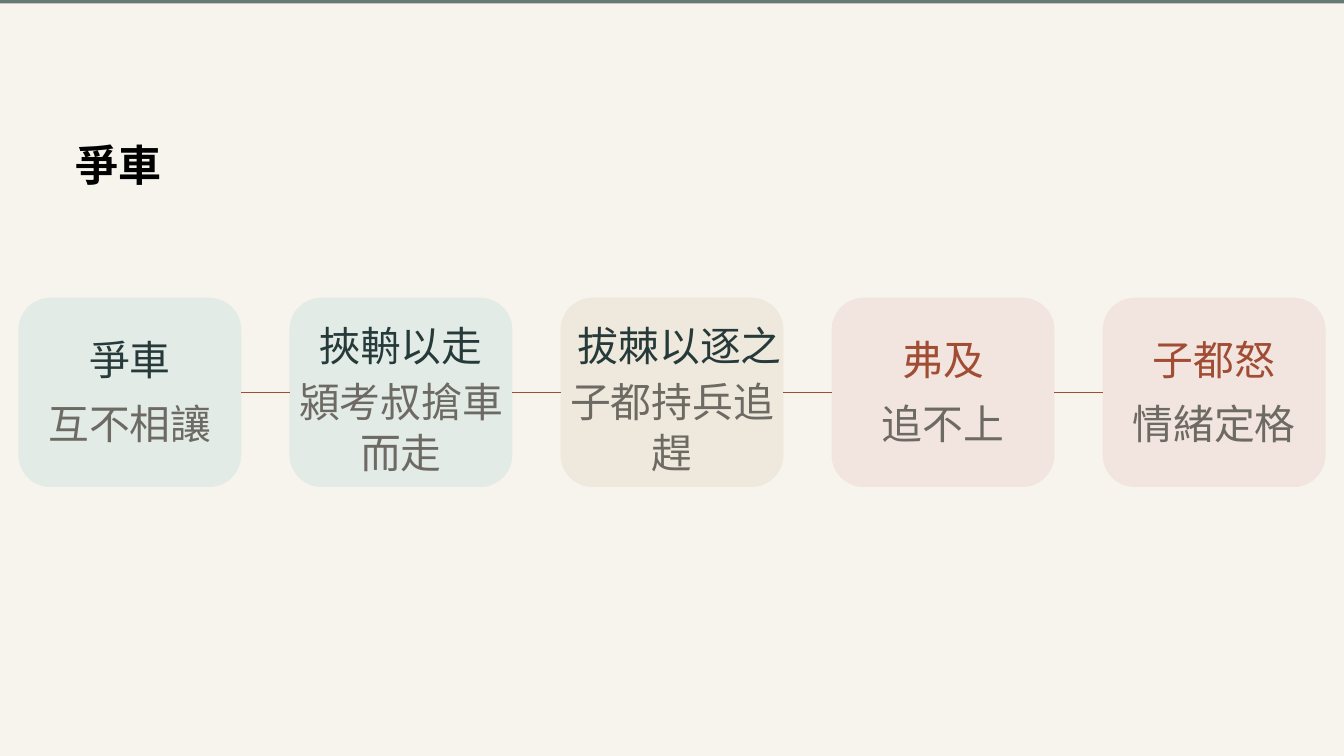
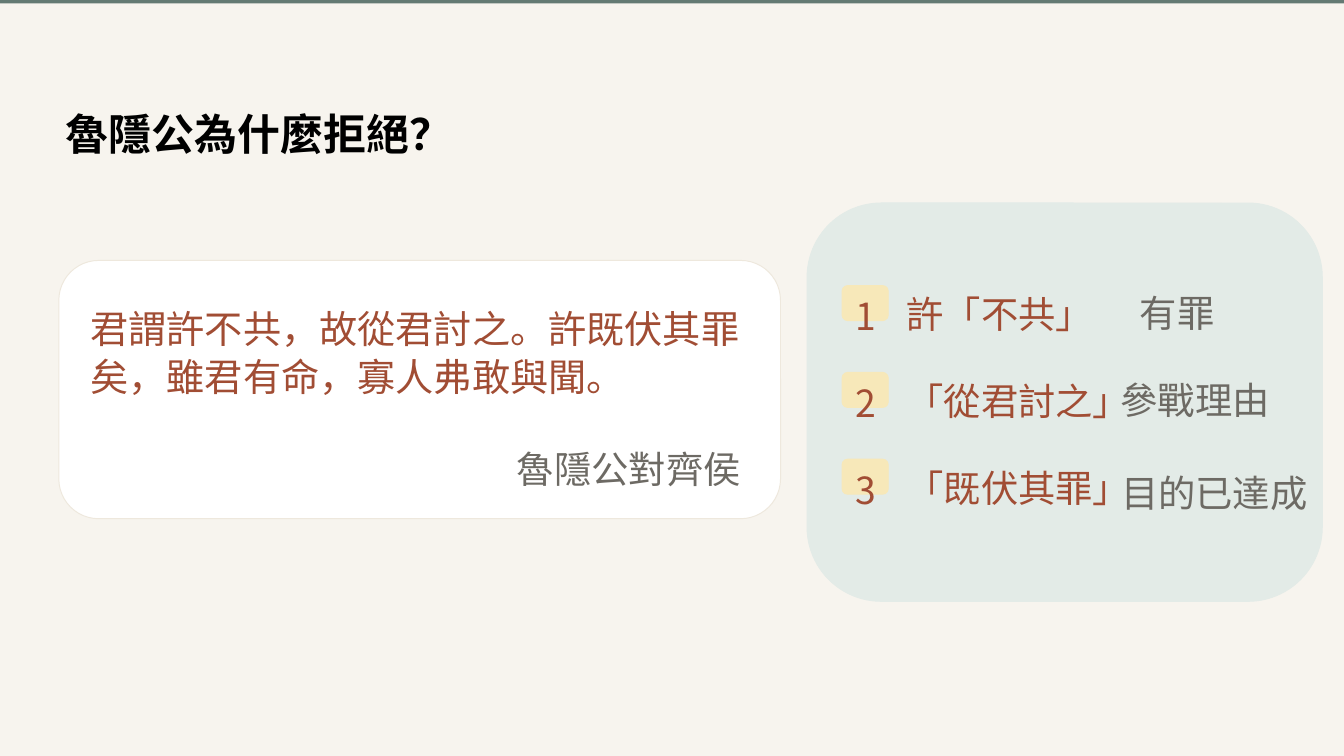
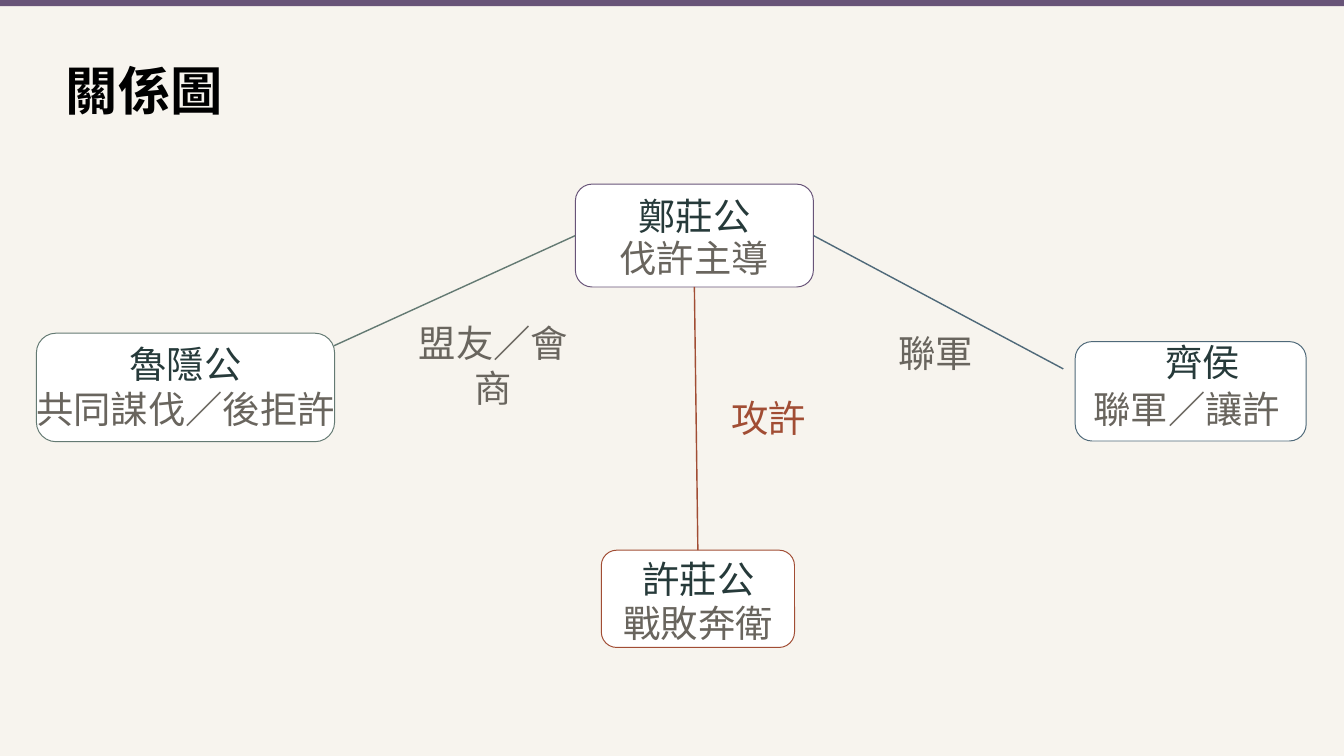
import pptx
import pptx.util
import pptx.dml.color
import pptx.enum.shapes
import pptx.enum.text
import pptx.oxml.ns
import lxml.etree

RGB = pptx.dml.color.RGBColor
MSO = pptx.enum.shapes.MSO_SHAPE
ALIGN = pptx.enum.text.PP_ALIGN
LEFT, CENTER, RIGHT = ALIGN.LEFT, ALIGN.CENTER, ALIGN.RIGHT
TOP_SIDE, LEFT_SIDE, BOTTOM_SIDE, RIGHT_SIDE = range(4)

PAPER = RGB(0xF7, 0xF4, 0xEE)
WHITE = RGB(0xFF, 0xFF, 0xFF)
BLACK = RGB(0x00, 0x00, 0x00)
INK = RGB(0x26, 0x3A, 0x3A)
GRAY = RGB(0x6D, 0x6A, 0x64)
DARK_GRAY = RGB(0x69, 0x65, 0x5E)
RUST = RGB(0xA1, 0x4D, 0x34)
GREEN = RGB(0x64, 0x7A, 0x73)
PURPLE = RGB(0x68, 0x54, 0x78)
BLUE = RGB(0x4F, 0x69, 0x79)
MINT = RGB(0xE3, 0xEB, 0xE7)
SAND = RGB(0xEE, 0xE8, 0xDD)
ROSE = RGB(0xF2, 0xE4, 0xDF)
YELLOW = RGB(0xF7, 0xE8, 0xB9)

TITLE_FONT, BODY_FONT = "Noto Sans", "Noto Sans CJK JP"
SLIDE_W, SLIDE_H = 1920, 1080

# Text styles: size and line spacing in points
TITLE = (46, 58)
BIG_TITLE = (56, 67.2)
STEP = (43.7, 55.1)
QUOTE = (40.9, 51.6)
REASON = (40, 50.4)
NODE = (40, 48)

# Name, name width, detail, lines of detail, fill, name colour
STEPS = [
    ("爭車", 273, "互不相讓", 1, MINT, INK),
    ("挾輈以走", 273, "潁考叔搶車而走", 2, MINT, INK),
    ("拔棘以逐之", 295, "子都持兵追趕", 2, SAND, INK),
    ("弗及", 273, "追不上", 1, ROSE, RUST),
    ("子都怒", 273, "情緒定格", 1, ROSE, RUST),
]
STEP_TOPS = {1: (475, 566), 2: (454, 534)}  # name and detail, by lines of detail

QUOTE_TEXT = "君謂許不共，故從君討之。許既伏其罪矣，雖君有命，寡人弗敢與聞。"
# Phrase, meaning, meaning's left, drop below the row and width
REASONS = [
    ("許「不共」", "有罪", 1625, 3, 110),
    ("「從君討之」", "參戰理由", 1598, 3, 216),
    ("「既伏其罪」", "目的已達成", 1598, 12, 270),
]

# Name, (left, top, width), detail, (left, top, width), box, radius, outline
RULERS = [
    ("鄭莊公", (910, 276, 164), "伐許主導", (883, 336, 217),
     (822, 263, 340, 147), 24, PURPLE),
    ("魯隱公", (183, 488, 164), "共同謀伐／後拒許", (50, 551, 430),
     (52, 476, 426, 155), 28, GREEN),
    ("齊侯", (1663, 485, 111), "聯軍／讓許", (1560, 551, 271),
     (1536, 488, 330, 142), 24, BLUE),
    ("許莊公", (916, 795, 164), "戰敗奔衛", (889, 857, 217),
     (859, 786, 276, 139), 22, RUST),
]
# Text, (left, top, width), lines, colour, alignment
RELATIONS = [
    ("盟友／會商", (583, 458, 244), 2, DARK_GRAY, CENTER),
    ("聯軍", (1257, 471, 159), 1, DARK_GRAY, CENTER),
    ("攻許", (1045, 564, 116), 1, RUST, LEFT),
]


def px(n):
    return pptx.util.Emu(round(n * 9525))


def add_text(slide, text, at, style, color, align=LEFT, lines=1,
             font=BODY_FONT, bold=False):
    left, top, width = at
    size, spacing = style
    height = lines * spacing * 96 / 72
    tf = slide.shapes.add_textbox(px(left), px(top), px(width), px(height)).text_frame
    tf.margin_left = tf.margin_top = tf.margin_right = tf.margin_bottom = 0
    tf.word_wrap = True
    tf.auto_size = pptx.enum.text.MSO_AUTO_SIZE.SHAPE_TO_FIT_TEXT
    tf.text = text
    p = tf.paragraphs[0]
    p.alignment = align
    p.line_spacing = pptx.util.Pt(spacing)
    r = p.runs[0]
    r.font.size = pptx.util.Pt(size)
    r.font.bold = bold
    r.font.color.rgb = color
    r.font.name = font
    ea = lxml.etree.SubElement(r.font._element, pptx.oxml.ns.qn("a:ea"))
    ea.set("typeface", font)


def add_box(slide, box, fill, outline=None, radius=0):
    kind = MSO.ROUNDED_RECTANGLE if radius else MSO.RECTANGLE
    sp = slide.shapes.add_shape(kind, *map(px, box))
    sp.shadow.inherit = False
    sp.fill.solid()
    sp.fill.fore_color.rgb = fill
    if radius:
        sp.adjustments[0] = radius / min(box[2:])
    if outline is None:
        sp.line.fill.background()
    else:
        sp.line.color.rgb = outline
        sp.line.width = pptx.util.Pt(1.05)
    return sp


def add_link(slide, color, start, end):
    """Draw a line; each end is a point or a (shape, side) pair to join."""
    joined = [hasattr(e[0], "shape_id") for e in (start, end)]
    points = [(0, 0) if j else e for j, e in zip(joined, (start, end))]
    cxn = slide.shapes.add_connector(
        pptx.enum.shapes.MSO_CONNECTOR.STRAIGHT,
        *(px(n) for point in points for n in point))
    if joined[0]:
        cxn.begin_connect(*start)
    if joined[1]:
        cxn.end_connect(*end)
    cxn.line.color.rgb = color
    cxn.line.width = pptx.util.Pt(1.5)
    lxml.etree.SubElement(cxn._element.spPr, pptx.oxml.ns.qn("a:effectLst"))


def add_slide(prs, title, left, top, style=TITLE, band=GREEN, band_height=5):
    slide = prs.slides.add_slide(prs.slide_layouts[6])
    slide.background.fill.solid()
    slide.background.fill.fore_color.rgb = PAPER
    add_box(slide, (0, 0, SLIDE_W, band_height), band)
    add_text(slide, title, (left, top, 1718), style, BLACK,
             font=TITLE_FONT, bold=True)
    return slide


def build_chariot_quarrel(prs):
    slide = add_slide(prs, "爭車", 108, 194)
    margin, width, top, height = 27, 317, 426, 269
    pitch = (SLIDE_W - 2 * margin - width) / (len(STEPS) - 1)
    previous = None
    for i, (name, name_width, detail, lines, fill, color) in enumerate(STEPS):
        left = margin + i * pitch
        name_top, detail_top = STEP_TOPS[lines]
        card = add_box(slide, (left, top, width, height), fill, fill, 45)
        add_text(slide, name, (left + 22, name_top, name_width), STEP, color, CENTER)
        add_text(slide, detail, (left, detail_top, width), STEP, GRAY, CENTER, lines)
        if previous is not None:
            add_link(slide, RUST, (previous, RIGHT_SIDE), (card, LEFT_SIDE))
        previous = card


def build_refusal(prs):
    slide = add_slide(prs, "魯隱公為什麼拒絕？", 94, 150)
    add_box(slide, (84, 372, 1031, 369), WHITE, SAND, 57)
    add_text(slide, QUOTE_TEXT, (129, 433, 941), QUOTE, RUST, lines=2)
    add_text(slide, "魯隱公對齊侯", (734, 634, 324), REASON, GRAY, RIGHT)
    add_box(slide, (1153, 290, 736, 569), MINT, MINT, 106)
    for i, (phrase, meaning, left, drop, width) in enumerate(REASONS):
        top = 408 + 124 * i
        add_box(slide, (1203, top, 66, 50), YELLOW, YELLOW, 8)
        add_text(slide, str(i + 1), (1212, top + 8, 49), REASON, RUST, CENTER)
        add_text(slide, phrase, (1295, top + 5, 324), REASON, RUST)
        add_text(slide, meaning, (left, top + drop, width), REASON, GRAY, RIGHT)


def build_relations(prs):
    slide = add_slide(prs, "關係圖", 94, 83, BIG_TITLE, PURPLE, 9)
    nodes = {}
    for name, name_at, detail, detail_at, box, radius, outline in RULERS:
        nodes[name] = add_box(slide, box, WHITE, outline, radius)
        add_text(slide, name, name_at, NODE, INK, CENTER)
        add_text(slide, detail, detail_at, NODE, DARK_GRAY, CENTER)
    zheng, xu = nodes["鄭莊公"], nodes["許莊公"]
    add_link(slide, GREEN, (477, 494), (zheng, LEFT_SIDE))
    add_link(slide, BLUE, (1519, 527), (zheng, RIGHT_SIDE))
    add_link(slide, RUST, (zheng, BOTTOM_SIDE), (xu, TOP_SIDE))
    for text, at, lines, color, align in RELATIONS:
        add_text(slide, text, at, NODE, color, align, lines)


def main():
    prs = pptx.Presentation()
    prs.slide_width, prs.slide_height = px(SLIDE_W), px(SLIDE_H)
    build_chariot_quarrel(prs)
    build_refusal(prs)
    build_relations(prs)
    prs.save("out.pptx")


if __name__ == "__main__":
    main()
